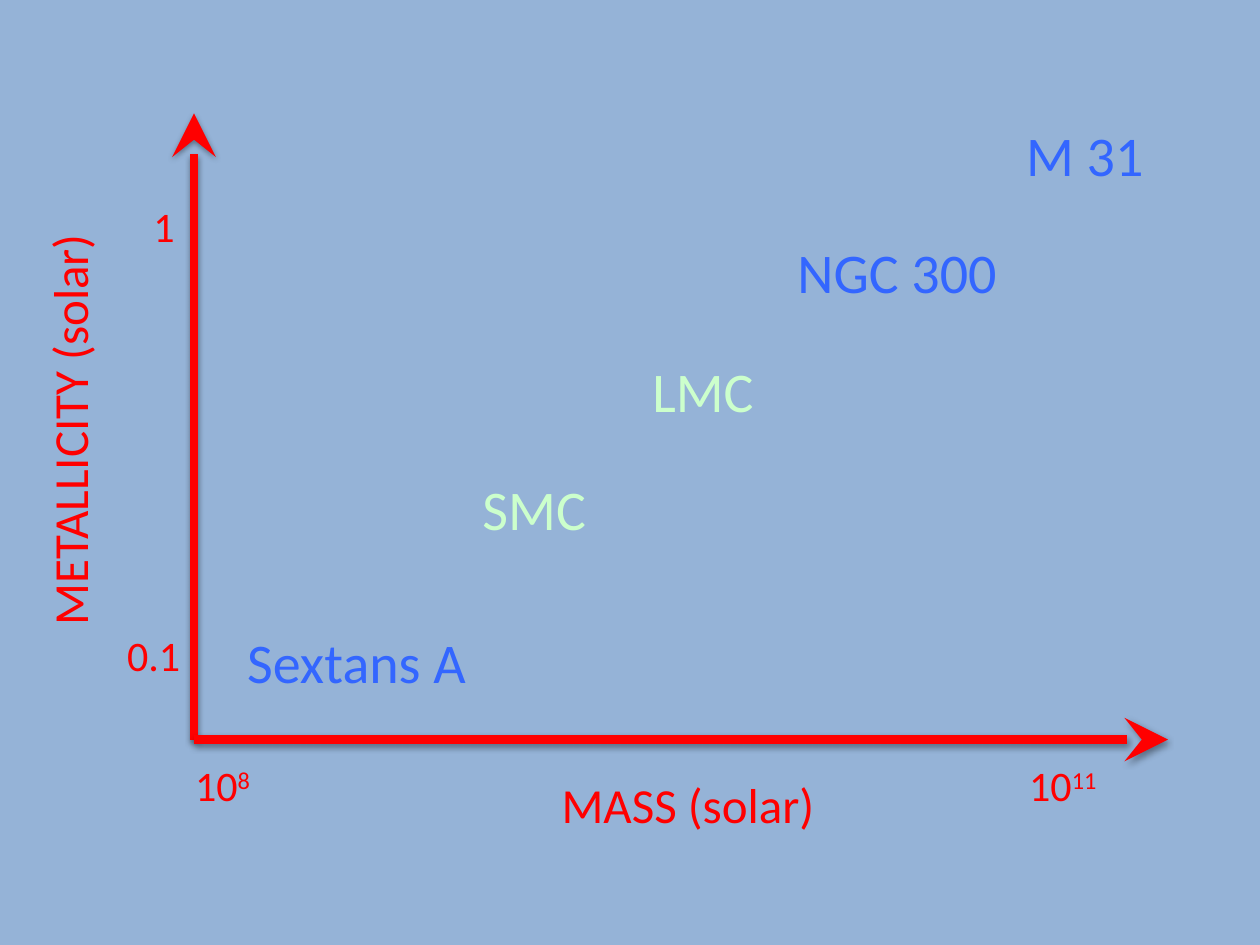
from dataclasses import dataclass

from lxml import etree
from pptx import Presentation
from pptx.dml.color import RGBColor
from pptx.enum.shapes import MSO_CONNECTOR
from pptx.enum.text import PP_ALIGN
from pptx.oxml import parse_xml
from pptx.oxml.ns import nsdecls, qn
from pptx.util import Inches, Pt

STRAIGHT = MSO_CONNECTOR.STRAIGHT
LEFT, CENTER = PP_ALIGN.LEFT, PP_ALIGN.CENTER


@dataclass(frozen=True)
class Theme:
    font: str = "Calibri"
    background: RGBColor = RGBColor(0x95, 0xB3, 0xD7)
    axis: RGBColor = RGBColor(0xFF, 0x00, 0x00)
    blue: RGBColor = RGBColor(0x33, 0x66, 0xFF)
    green: RGBColor = RGBColor(0xCC, 0xFF, 0xCC)
    galaxy_size: int = 32
    title_size: int = 28
    tick_size: int = 24
    axis_width: int = 5


@dataclass(frozen=True)
class Box:
    """An area in grid cells."""
    x: float
    y: float
    w: float
    h: float


THEME = Theme()
COLS, ROWS = 100, 75
CELL = Inches(10) // COLS
PLOT = Box(15.4, 9, 77.3, 49.7)
SHADOW = (
    f'<a:effectLst {nsdecls("a")}>'
    '<a:outerShdw blurRad="40000" dist="20000" dir="5400000" rotWithShape="0">'
    '<a:srgbClr val="000000"><a:alpha val="38000"/></a:srgbClr>'
    '</a:outerShdw></a:effectLst>'
)


def cells(n):
    return round(n * CELL)


def add_label(slide, box, text, x, y, width, size, color,
              align=CENTER, exponent="", rotation=0):
    """Put one line of text centred on (x, y), counted from the box's corner."""
    w, h = cells(width), Pt(1.2 * size + 7.2)
    tb = slide.shapes.add_textbox(
        cells(box.x + x) - w // 2, cells(box.y + y) - h // 2, w, h)
    tb.rotation = rotation
    tf = tb.text_frame
    tf.word_wrap = True
    p = tf.paragraphs[0]
    p.text = text
    p.alignment = align
    if exponent:
        r = p.add_run()
        r.text = exponent
        r.font._element.set("baseline", "30000")
    for r in p.runs:
        r.font.name = THEME.font
        r.font.size = Pt(size)
        r.font.color.rgb = color


def add_axes(slide, box):
    left, bottom = box.x, box.y + box.h
    for end_x, end_y in ((left, box.y), (left + box.w, bottom)):
        axis = slide.shapes.add_connector(
            STRAIGHT, cells(left), cells(bottom), cells(end_x), cells(end_y))
        axis.line.color.rgb = THEME.axis
        axis.line.width = Pt(THEME.axis_width)
        etree.SubElement(axis.line._get_or_add_ln(), qn("a:tailEnd"),
                         type="stealth", w="lg", len="lg")
        axis._element.spPr.append(parse_xml(SHADOW))


def add_axis_titles(slide, box):
    size, color = THEME.title_size, THEME.axis
    add_label(slide, box, "MASS (solar)", 39.2, box.h + 5.1, 24.6, size, color)
    add_label(slide, box, "METALLICITY (solar)", -9.95, 25.1, 40.1, size, color,
              rotation=270)


def add_galaxies(slide, box):
    galaxies = (
        ("M 31", 70.7, 3.2, 13.4, THEME.blue),
        ("Sextans A", 12.9, 43.5, 20.8, THEME.blue),
        ("NGC 300", 55.8, 12.5, 20.8, THEME.blue),
        ("LMC", 40.4, 22, 13.4, THEME.green),
        ("SMC", 27, 31.3, 13.4, THEME.green),
    )
    for name, x, y, width, color in galaxies:
        add_label(slide, box, name, x, y, width, THEME.galaxy_size, color)


def add_ticks(slide, box):
    mass_y = box.h + 3.6
    ticks = (
        ("10", "8", 2.55, mass_y, 6.9),
        ("10", "11", 69.4, mass_y, 8.2),
        ("1", "", -2.55, 8.9, 3.3),
        ("0.1", "", -3.2, 43, 6.2),
    )
    for text, exponent, x, y, width in ticks:
        add_label(slide, box, text, x, y, width, THEME.tick_size, THEME.axis,
                  LEFT, exponent)


def main():
    prs = Presentation()
    prs.slide_width, prs.slide_height = cells(COLS), cells(ROWS)
    slide = prs.slides.add_slide(prs.slide_layouts[6])
    fill = slide.background.fill
    fill.solid()
    fill.fore_color.rgb = THEME.background
    for add_part in (add_axes, add_axis_titles, add_galaxies, add_ticks):
        add_part(slide, PLOT)
    prs.save("out.pptx")


if __name__ == "__main__":
    main()
